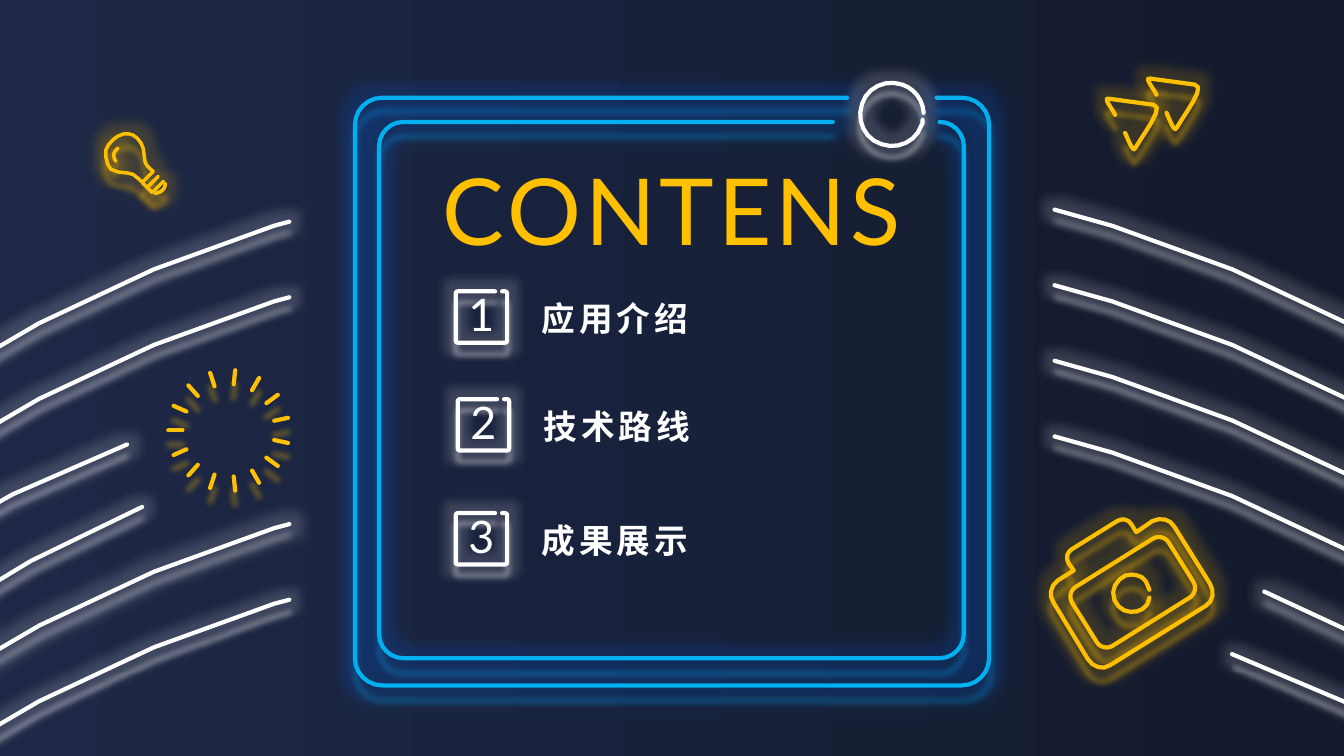
import math

from pptx import Presentation, util as u
from pptx.dml.color import RGBColor
from pptx.enum import shapes, text
from pptx.oxml import parse_xml
from pptx.oxml.ns import nsdecls, qn

WHITE, YELLOW, BLUE = "FFFFFF", "FFC000", "00B0F0"
LATIN, CHINESE = "Lato", "Noto Sans CJK SC"


def rgb(value):
    return RGBColor.from_string(value)


def neon(part, color, width=3, drop=10, glow=14, halo=None):
    part.line.color.rgb = rgb(color)
    part.line.width = u.Pt(width)
    properties = part._element.spPr
    edge = properties.find(qn("a:ln"))
    edge.set("cap", "rnd")
    edge.append(parse_xml(f"<a:round {nsdecls('a')}/>"))
    halo_xml = (
        f'<a:glow rad="{u.Pt(glow)}"><a:srgbClr val="{halo or color}">'
        '<a:alpha val="15000"/></a:srgbClr></a:glow>' if glow else ""
    )
    properties.append(parse_xml(
        f"<a:effectLst {nsdecls('a')}>{halo_xml}"
        f'<a:outerShdw blurRad="{u.Pt(4)}" dist="{u.Pt(drop)}" dir="5400000" '
        f'algn="t" rotWithShape="0"><a:srgbClr val="{color}">'
        '<a:alpha val="40000"/></a:srgbClr></a:outerShdw></a:effectLst>'
    ))


def curve_points(start, first, second, end, steps):
    for step in range(1, steps + 1):
        t = step / steps
        s = 1 - t
        yield tuple(
            s**3 * a + 3 * s * s * t * b + 3 * s * t * t * c + t**3 * d
            for a, b, c, d in zip(start, first, second, end)
        )


def outline(slide, left, top, route, color, steps=4, **effects):
    points, closed = [], False
    tokens = iter(route.split())
    for command in tokens:
        if command == "Z":
            closed = True
            continue
        count = 3 if command == "C" else 1
        pairs = [(float(next(tokens)), float(next(tokens))) for _ in range(count)]
        if command == "C":
            points.extend(curve_points(points[-1], *pairs, steps))
        else:
            points.extend(pairs)
    placed = [(u.Inches(left + x), u.Inches(top + y)) for x, y in points]
    builder = slide.shapes.build_freeform(*placed[0])
    builder.add_line_segments(placed[1:], close=closed)
    drawn = builder.convert_to_shape()
    drawn.fill.background()
    neon(drawn, color, **effects)


def stroke(slide, x1, y1, x2, y2, **effects):
    line = slide.shapes.add_connector(
        shapes.MSO_CONNECTOR.STRAIGHT, *map(u.Inches, (x1, y1, x2, y2)))
    neon(line, YELLOW, **effects)


def label(slide, box, words, size, color, font, bold=False, centered=False):
    holder = slide.shapes.add_textbox(*map(u.Inches, box))
    frame = holder.text_frame
    frame.word_wrap = True
    frame.auto_size = text.MSO_AUTO_SIZE.SHAPE_TO_FIT_TEXT
    paragraph = frame.paragraphs[0]
    paragraph.alignment = text.PP_ALIGN.CENTER if centered else text.PP_ALIGN.LEFT
    run = paragraph.add_run()
    run.text = words
    run.font.size = u.Pt(size)
    run.font.bold = bold
    run.font.color.rgb = rgb(color)
    run.font.name = font
    properties = run._r.get_or_add_rPr()
    properties.set("spc", "300")
    properties.append(parse_xml(f'<a:ea {nsdecls("a")} typeface="{font}"/>'))


def gapped_frame(slide, left, top, width, height, radius, gap, color, **effects):
    w, h, r = width, height, radius
    k = 0.45 * r
    route = (
        f"M {gap[1]} 0 L {w - r} 0 C {w - k} 0 {w} {k} {w} {r} "
        f"L {w} {h - r} C {w} {h - k} {w - k} {h} {w - r} {h} "
        f"L {r} {h} C {k} {h} 0 {h - k} 0 {h - r} "
        f"L 0 {r} C 0 {k} {k} 0 {r} 0 L {gap[0]} 0"
    )
    outline(slide, left, top, route, color, **effects)


def panel(slide, left, top):
    frames = (
        (0, 6.29, 5.83, 0.27, (4.88, 5.77)),
        (0.24, 5.8, 5.32, 0.24, (4.5, 5.56)),
    )
    for inset, width, height, radius, gap in frames:
        gapped_frame(slide, left + inset, top + inset, width, height, radius, gap,
                     BLUE, steps=6, halo="0060FF", glow=18)


def arcs(slide, left, top):
    bottom = " L 13.97 27.46 L 0 13.5 "
    right = "M 17.55 0 L 18.12 0.16 C 23.8 1.93 27.93 7.23 27.93 13.5"
    right_camera = "M 19.63 0.79 C 24.98 2.95 28.87 9.06 27.93 13.5"
    right_camera_low = "M 19.31 0.66 C 24.88 2.67 28.82 9.03 27.93 13.5"
    left_long = "C 0 7.23 4.13 1.93 9.81 0.16 L 9.96 0.12"
    left_ray = "C -0.93 9.06 2.94 2.85 8.35 0.83"
    left_ray_low = "C -0.91 9.04 3.27 2.93 8.5 0.7"
    sides = (
        (right, left_long), (right, left_long),
        (right, left_ray), (right, left_ray_low),
        (right_camera, left_long), (right_camera_low, left_long),
    )
    for row, (start, end) in enumerate(sides):
        outline(slide, left, top + row * 0.75, start + bottom + end, WHITE,
                steps=14, drop=8)


def chapter(slide, left, top, number, name):
    gapped_frame(slide, left, top, 0.51, 0.51, 0.02, (0.39, 0.46), WHITE,
                 steps=2, drop=8)
    label(slide, (left - 0.05, top - 0.09, 0.61, 0.64), str(number), 32, WHITE,
          LATIN, centered=True)
    label(slide, (left + 0.75, top + 0.02, 3.73, 0.5), name, 24, WHITE,
          CHINESE, bold=True)


def triangles(slide, left, top):
    route = ("M 0.06 0.2 C 0.04 0.15 -0.07 0.02 0 0.04 L 0.44 0.1 "
             "C 0.56 0.11 0.34 0.39 0.26 0.53 C 0.24 0.59 0.18 0.42 0.16 0.38")
    for dx, dy in ((0.41, 0), (0, 0.2)):
        outline(slide, left + dx, top + dy, route, YELLOW, steps=6)


def sunburst(slide, left, top, radius=0.6, inner=0.46, rays=15):
    for ray in range(rays):
        angle = math.pi + ray * math.tau / rays
        x, y = math.cos(angle), math.sin(angle)
        stroke(slide, left + radius * (1 + x), top + radius * (1 + y),
               left + radius + inner * x, top + radius + inner * y, glow=0)


def camera(slide, left, top):
    body = (
        "M 0.23 0.35 L 0.68 0.07 C 0.73 0.04 0.79 0.05 0.82 0.1 L 0.87 0.18 "
        "L 1.03 0.07 C 1.11 0.03 1.21 0.05 1.25 0.13 L 1.6 0.69 "
        "C 1.65 0.77 1.63 0.87 1.56 0.91 L 0.61 1.5 C 0.54 1.55 0.44 1.52 0.39 1.44 "
        "L 0.05 0.88 C 0 0.81 0.02 0.71 0.09 0.66 L 0.25 0.56 L 0.2 0.49 "
        "C 0.17 0.44 0.18 0.38 0.23 0.35 Z"
    )
    lens = ("M 1 0.83 C 0.99 0.93 0.9 0.98 0.81 0.97 C 0.73 0.97 0.64 0.89 0.64 0.78 "
            "C 0.64 0.68 0.75 0.59 0.82 0.6 C 0.9 0.61 0.96 0.61 1 0.75")
    outline(slide, left, top, body, YELLOW)
    screen = slide.shapes.add_shape(
        shapes.MSO_SHAPE.ROUNDED_RECTANGLE,
        *map(u.Inches, (left + 0.27, top + 0.43, 1.13, 0.69)))
    screen.rotation = 328
    screen.fill.background()
    neon(screen, YELLOW)
    outline(slide, left, top, lens, YELLOW)


def bulb(slide, left, top):
    for thread in range(3):
        x, y = left + 0.41 + thread * 0.05, top + 0.51 + thread * 0.05
        stroke(slide, x, y, x + 0.11, y - 0.11, width=2.5)
    stroke(slide, left + 0.51, top + 0.61, left + 0.41, top + 0.51, width=2.5)
    glass = (
        "M 0.52 0.4 C 0.49 0.38 0.45 0.34 0.44 0.31 C 0.43 0.27 0.43 0.22 0.42 0.17 "
        "C 0.41 0.12 0.36 0.06 0.32 0.04 C 0.28 0.02 0.22 0.02 0.17 0.05 "
        "C 0.13 0.07 0.06 0.14 0.05 0.19 C 0.04 0.25 0.06 0.34 0.1 0.38 "
        "C 0.15 0.42 0.3 0.41 0.32 0.43 C 0.35 0.46 0.38 0.47 0.4 0.5"
    )
    shine = "M 0.17 0.17 C 0.14 0.2 0.13 0.21 0.13 0.23 C 0.13 0.26 0.13 0.28 0.15 0.3"
    tip = "M 0.54 0.62 C 0.58 0.61 0.6 0.6 0.61 0.59 C 0.63 0.57 0.64 0.55 0.64 0.52"
    for route in (glass, shine, tip):
        outline(slide, left, top, route, YELLOW, steps=3, width=2.5)


def ring(slide, left, top):
    route = (
        "M 0.63 0.39 L 0.63 0.41 C 0.63 0.42 0.63 0.43 0.62 0.44 "
        "C 0.57 0.6 0.39 0.69 0.22 0.63 C 0.06 0.58 -0.03 0.4 0.03 0.23 "
        "C 0.08 0.07 0.26 -0.02 0.43 0.04 C 0.55 0.08 0.63 0.19 0.64 0.31 L 0.64 0.32"
    )
    outline(slide, left, top, route, WHITE, steps=6, drop=8)


def contents_slide(deck):
    slide = deck.slides.add_slide(deck.slide_layouts[6])
    backdrop = slide.background.fill
    backdrop.gradient()
    backdrop.gradient_angle = 0
    for stop, color in zip(backdrop.gradient_stops, ("1E2846", "131A2D")):
        stop.color.rgb = rgb(color)
    panel(slide, 3.52, 0.97)
    arcs(slide, -7.09, 2.08)
    label(slide, (2.67, 1.47, 7.99, 1.21), "CONTENS", 66, YELLOW, LATIN, centered=True)
    chapters = ((4.52, 2.89, "应用介绍"), (4.54, 3.96, "技术路线"), (4.52, 5.09, "成果展示"))
    for number, (left, top, name) in enumerate(chapters, 1):
        chapter(slide, left, top, number, name)
    triangles(slide, 11, 0.74)
    sunburst(slide, 1.67, 3.67)
    camera(slide, 10.4, 5.1)
    bulb(slide, 1, 1.3)
    ring(slide, 8.52, 0.8)


def main():
    deck = Presentation()
    deck.slide_width, deck.slide_height = u.Inches(13.33), u.Inches(7.5)
    contents_slide(deck)
    deck.save("out.pptx")


if __name__ == "__main__":
    main()
